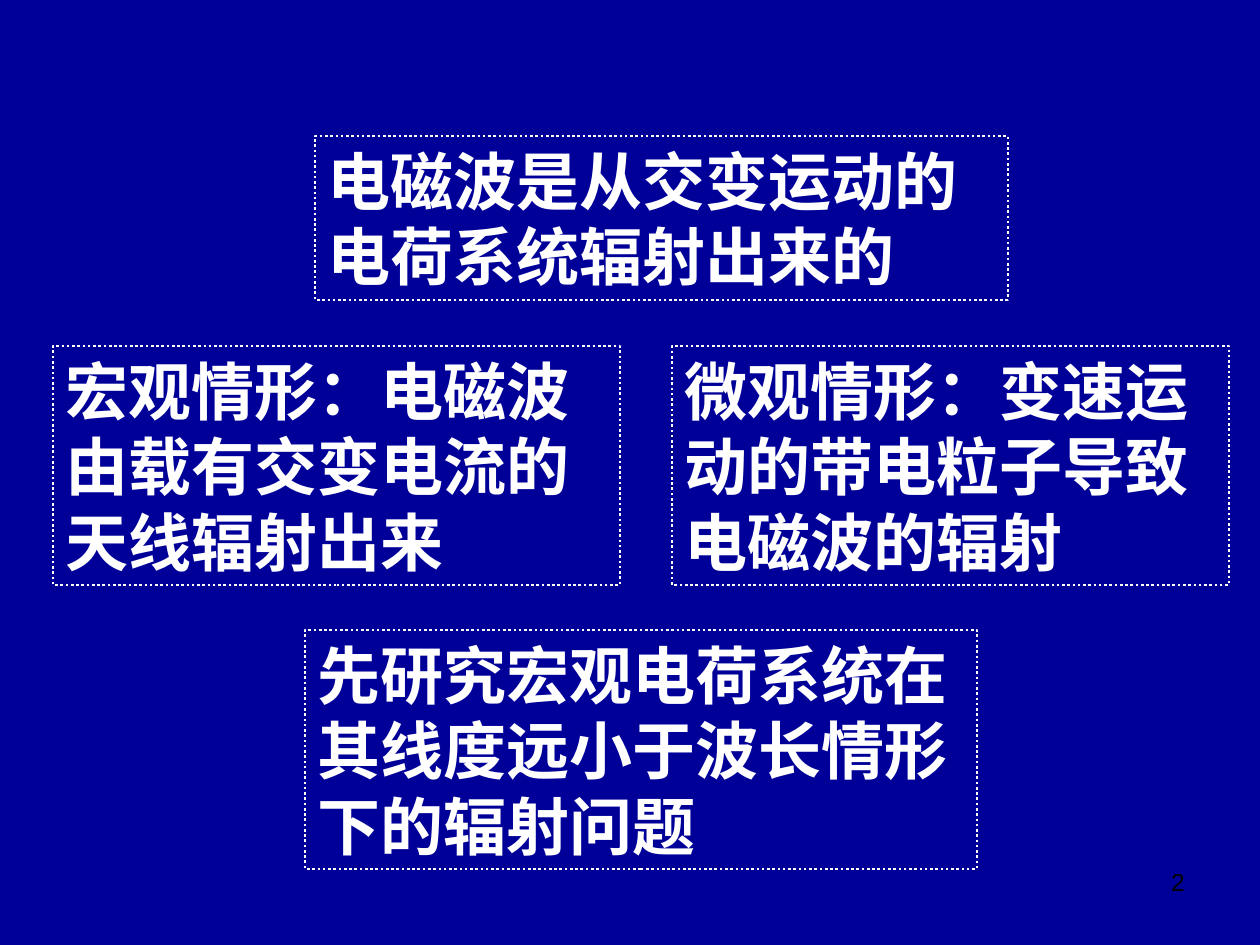
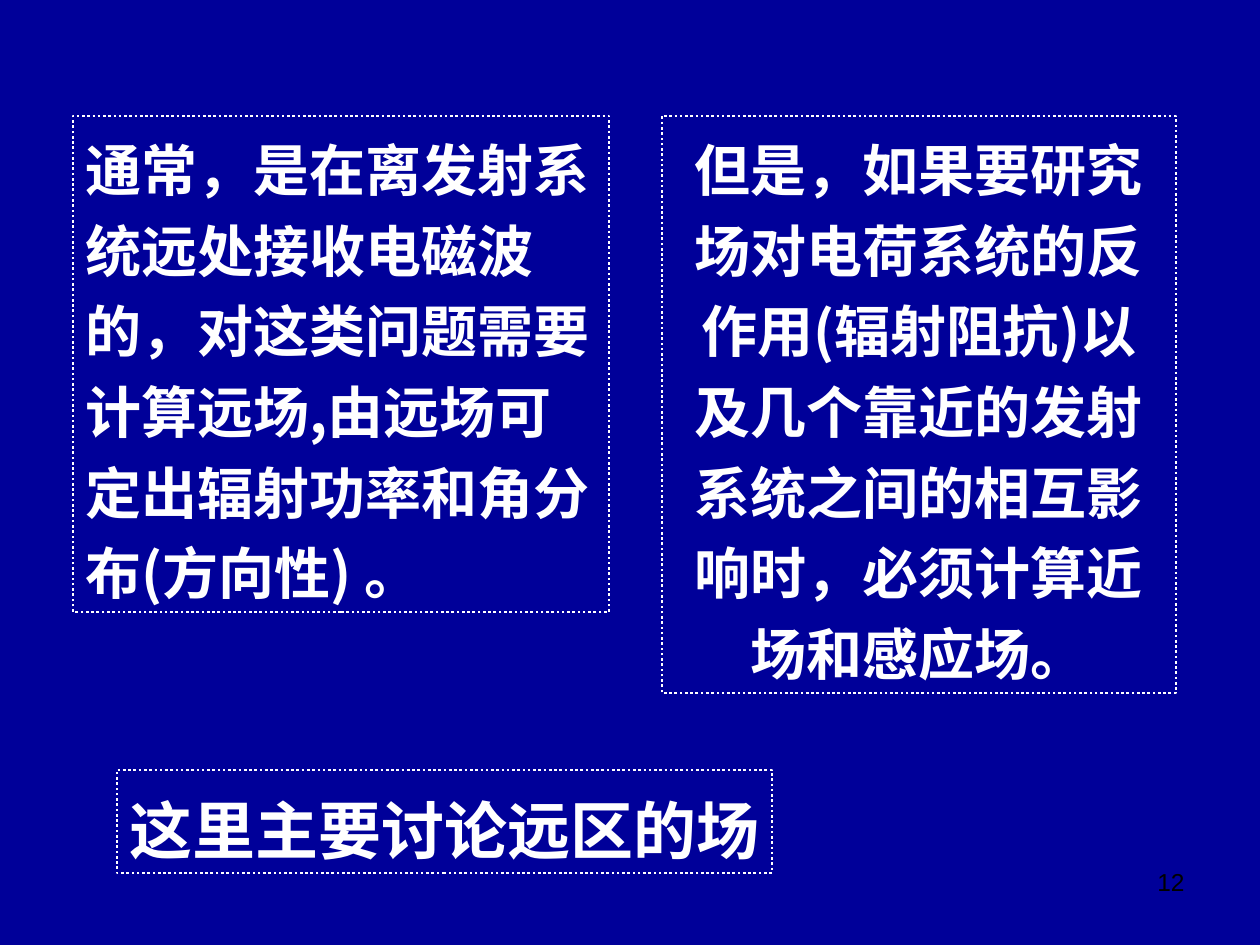
from lxml import etree
from pptx import Presentation
from pptx.dml.color import RGBColor
from pptx.enum.dml import MSO_LINE
from pptx.enum.shapes import MSO_SHAPE
from pptx.enum.text import MSO_ANCHOR, MSO_AUTO_SIZE, PP_ALIGN
from pptx.oxml.ns import qn
from pptx.util import Emu, Pt

EMU_PER_PX = 914400 / 126
NAVY = RGBColor(0x00, 0x00, 0x99)
WHITE = RGBColor(0xFF, 0xFF, 0xFF)
BLACK = RGBColor(0x00, 0x00, 0x00)
CHINESE_FONT = "Noto Sans CJK SC"
NUMBER_FONT = "Arial"
RECTANGLE = MSO_SHAPE.RECTANGLE
DOTTED = MSO_LINE.ROUND_DOT
TOP = MSO_ANCHOR.TOP
FIT_SHAPE = MSO_AUTO_SIZE.SHAPE_TO_FIT_TEXT
LEFT, CENTER, RIGHT = PP_ALIGN.LEFT, PP_ALIGN.CENTER, PP_ALIGN.RIGHT
LOOSE = 1.2


def px(length):
    return Emu(round(length * EMU_PER_PX))


def write(frame, text, size=36, font=CHINESE_FONT, color=WHITE, bold=True,
          align=LEFT, spacing=None, wrap=True):
    frame.word_wrap = wrap
    frame.vertical_anchor = TOP
    paragraph = frame.paragraphs[0]
    paragraph.alignment = align
    paragraph._p.get_or_add_pPr().set("hangingPunct", "0")
    if spacing:
        paragraph.line_spacing = spacing
    run = paragraph.add_run()
    run.text = text
    run.font.size = Pt(size)
    run.font.bold = bold
    run.font.color.rgb = color
    run.font.name = font
    east_asian = etree.SubElement(run.font._element, qn("a:ea"))
    east_asian.set("typeface", font)


def add_statement(slide, left, top, width, height, text, **text_format):
    box = slide.shapes.add_shape(RECTANGLE, px(left), px(top), px(width), px(height))
    box.shadow.inherit = False
    box.fill.background()
    box.line.color.rgb = WHITE
    box.line.width = Pt(1.5)
    box.line.dash_style = DOTTED
    write(box.text_frame, text, **text_format)
    box.text_frame.auto_size = FIT_SHAPE


def add_page(presentation, number):
    slide = presentation.slides.add_slide(presentation.slide_layouts[6])
    slide.background.fill.solid()
    slide.background.fill.fore_color.rgb = NAVY
    page_number = slide.shapes.add_textbox(px(903), px(861), px(294), px(66))
    write(page_number.text_frame, str(number), size=14, font=NUMBER_FONT,
          color=BLACK, bold=False, align=RIGHT)
    return slide


def add_radiation_sources(presentation):
    slide = add_page(presentation, 2)
    add_statement(slide, 315, 136, 693, 164, "电磁波是从交变运动的电荷系统辐射出来的")
    cases_top, cases_height = 346, 239
    add_statement(slide, 53, cases_top, 567, cases_height,
                  "宏观情形：电磁波由载有交变电流的天线辐射出来")
    add_statement(slide, 672, cases_top, 557, cases_height,
                  "微观情形：变速运动的带电粒子导致电磁波的辐射")
    add_statement(slide, 305, 630, 672, 239,
                  "先研究宏观电荷系统在其线度远小于波长情形下的辐射问题")


def add_far_and_near_fields(presentation):
    slide = add_page(presentation, 12)
    fields_top = 116
    add_statement(slide, 73, fields_top, 536, 496,
                  "通常，是在离发射系统远处接收电磁波的，对这类问题需要计算远场,"
                  "由远场可定出辐射功率和角分布(方向性) 。",
                  size=32, spacing=LOOSE)
    add_statement(slide, 662, fields_top, 514, 577,
                  "但是，如果要研究场对电荷系统的反作用(辐射阻抗)以及几个靠近的"
                  "发射系统之间的相互影响时，必须计算近场和感应场。",
                  size=32, spacing=LOOSE, align=CENTER)
    add_statement(slide, 117, 770, 655, 103, "这里主要讨论远区的场",
                  spacing=LOOSE, wrap=False)


def main():
    presentation = Presentation()
    presentation.slide_width = px(1260)
    presentation.slide_height = px(945)
    add_radiation_sources(presentation)
    add_far_and_near_fields(presentation)
    presentation.save("out.pptx")


if __name__ == "__main__":
    main()
